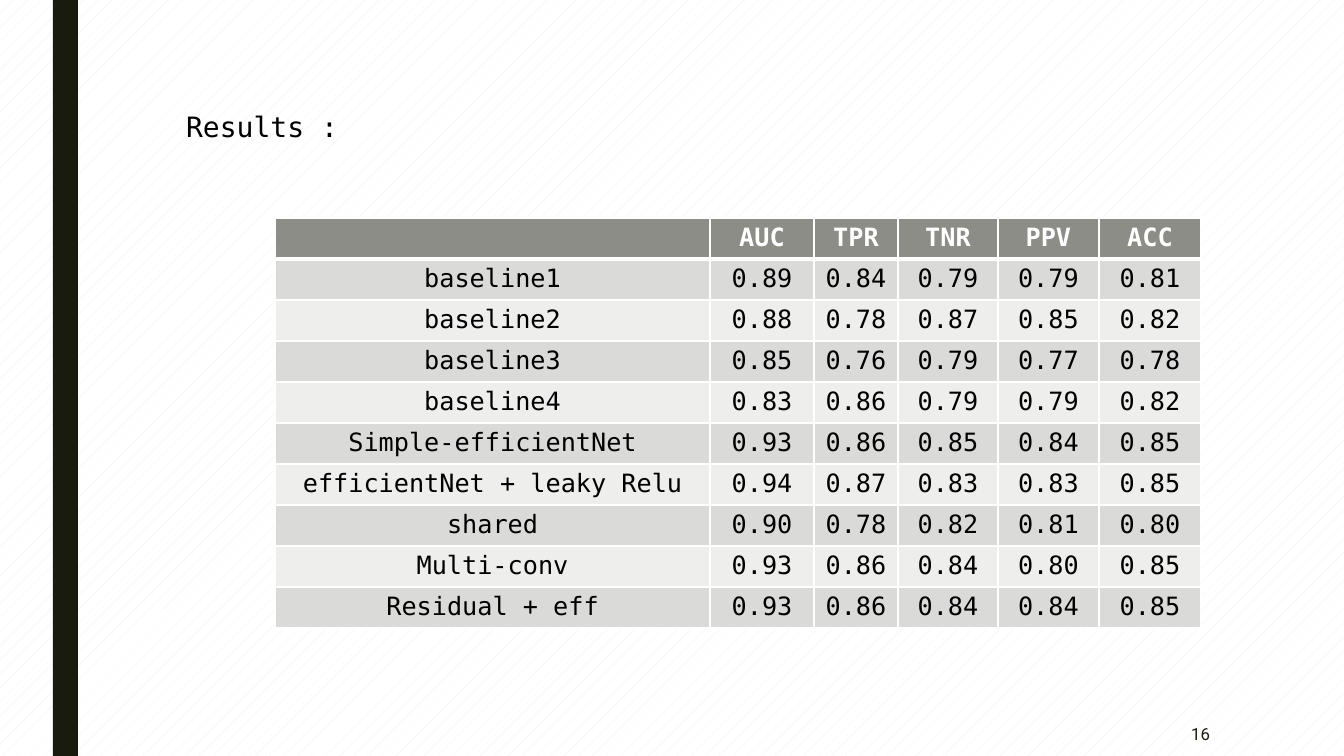
from lxml import etree
from pptx import Presentation
from pptx.dml.color import RGBColor
from pptx.enum.dml import MSO_PATTERN
from pptx.enum.shapes import MSO_SHAPE
from pptx.enum.text import MSO_ANCHOR, MSO_AUTO_SIZE, PP_ALIGN
from pptx.oxml.ns import qn
from pptx.util import Pt

TITLE = "Results :"
PAGE = "16"
METRICS = ("", "AUC", "TPR", "TNR", "PPV", "ACC")
RESULTS = [
    ("baseline1", "0.89", "0.84", "0.79", "0.79", "0.81"),
    ("baseline2", "0.88", "0.78", "0.87", "0.85", "0.82"),
    ("baseline3", "0.85", "0.76", "0.79", "0.77", "0.78"),
    ("baseline4", "0.83", "0.86", "0.79", "0.79", "0.82"),
    ("Simple-efficientNet", "0.93", "0.86", "0.85", "0.84", "0.85"),
    ("efficientNet + leaky Relu", "0.94", "0.87", "0.83", "0.83", "0.85"),
    ("shared", "0.90", "0.78", "0.82", "0.81", "0.80"),
    ("Multi-conv", "0.93", "0.86", "0.84", "0.80", "0.85"),
    ("Residual + eff", "0.93", "0.86", "0.84", "0.84", "0.85"),
]
COL_WIDTHS = (435, 104, 84, 100, 101, 102)
ROW_HEIGHT = 41

MONO, SANS = "DejaVu Sans Mono", "Roboto"
BLACK = RGBColor(0x00, 0x00, 0x00)
WHITE = RGBColor(0xFF, 0xFF, 0xFF)
DARK = RGBColor(0x19, 0x1B, 0x0E)
CREAM = RGBColor(0xEF, 0xED, 0xE3)
HEADER = RGBColor(0x8C, 0x8D, 0x86)
BANDS = (RGBColor(0xEE, 0xEE, 0xED), RGBColor(0xDA, 0xDB, 0xD9))

DOTS = MSO_PATTERN.PERCENT_5
RECT = MSO_SHAPE.RECTANGLE
TOP, MIDDLE = MSO_ANCHOR.TOP, MSO_ANCHOR.MIDDLE
NO_FIT = MSO_AUTO_SIZE.NONE
LEFT, CENTER, RIGHT = PP_ALIGN.LEFT, PP_ALIGN.CENTER, PP_ALIGN.RIGHT


def px(n):
    return round(n * 914400 / 100.8)


def write(tf, text, size=18, font=MONO, color=BLACK, bold=False, align=LEFT, anchor=TOP):
    tf.word_wrap = True
    tf.vertical_anchor = anchor
    p = tf.paragraphs[0]
    p.alignment = align
    r = p.add_run()
    r.text = text
    r.font.size = Pt(size)
    r.font.name = font
    r.font.bold = bold
    r.font.color.rgb = color


def add_borders(cell, bottom, top):
    tcPr = cell._tc.get_or_add_tcPr()
    for side, width in (("lnL", 1), ("lnR", 1), ("lnT", top), ("lnB", bottom)):
        ln = etree.SubElement(tcPr, qn("a:" + side), w=str(Pt(width)))
        fill = etree.SubElement(ln, qn("a:solidFill"))
        etree.SubElement(fill, qn("a:srgbClr"), val=str(WHITE))


def add_results(s):
    rows = [METRICS] + RESULTS
    table = s.shapes.add_table(
        len(rows), len(METRICS), px(275), px(218),
        px(sum(COL_WIDTHS)), px(ROW_HEIGHT * len(rows))).table
    for col, width in zip(table.columns, COL_WIDTHS):
        col.width = px(width)
    for i, values in enumerate(rows):
        table.rows[i].height = px(ROW_HEIGHT)
        head = i == 0
        for j, value in enumerate(values):
            cell = table.cell(i, j)
            add_borders(cell, bottom=3 if head else 1, top=3 if i == 1 else 1)
            cell.fill.solid()
            cell.fill.fore_color.rgb = HEADER if head else BANDS[i % 2]
            if value:
                write(cell.text_frame, value, color=WHITE if head else BLACK,
                      bold=head, align=CENTER)


def main():
    prs = Presentation()
    prs.slide_width, prs.slide_height = px(1344), px(756)
    s = prs.slides.add_slide(prs.slide_layouts[5])

    bg = s.background.fill
    bg.patterned()
    bg.pattern = DOTS
    bg.fore_color.rgb = CREAM
    bg.back_color.rgb = WHITE

    bar = s.shapes.add_shape(RECT, px(53), 0, px(25), px(756))
    bar.shadow.inherit = False
    bar.fill.solid()
    bar.fill.fore_color.rgb = DARK
    bar.line.fill.background()

    title = s.shapes.title
    title.left, title.top, title.width, title.height = px(176), px(104), px(511), px(44)
    title.text_frame.auto_size = NO_FIT
    write(title.text_frame, TITLE, size=20)

    add_results(s)

    page = s.shapes.add_textbox(px(1044), px(712), px(176), px(44))
    write(page.text_frame, PAGE, size=12, font=SANS, color=DARK, align=RIGHT, anchor=MIDDLE)

    prs.save("out.pptx")


if __name__ == "__main__":
    main()
